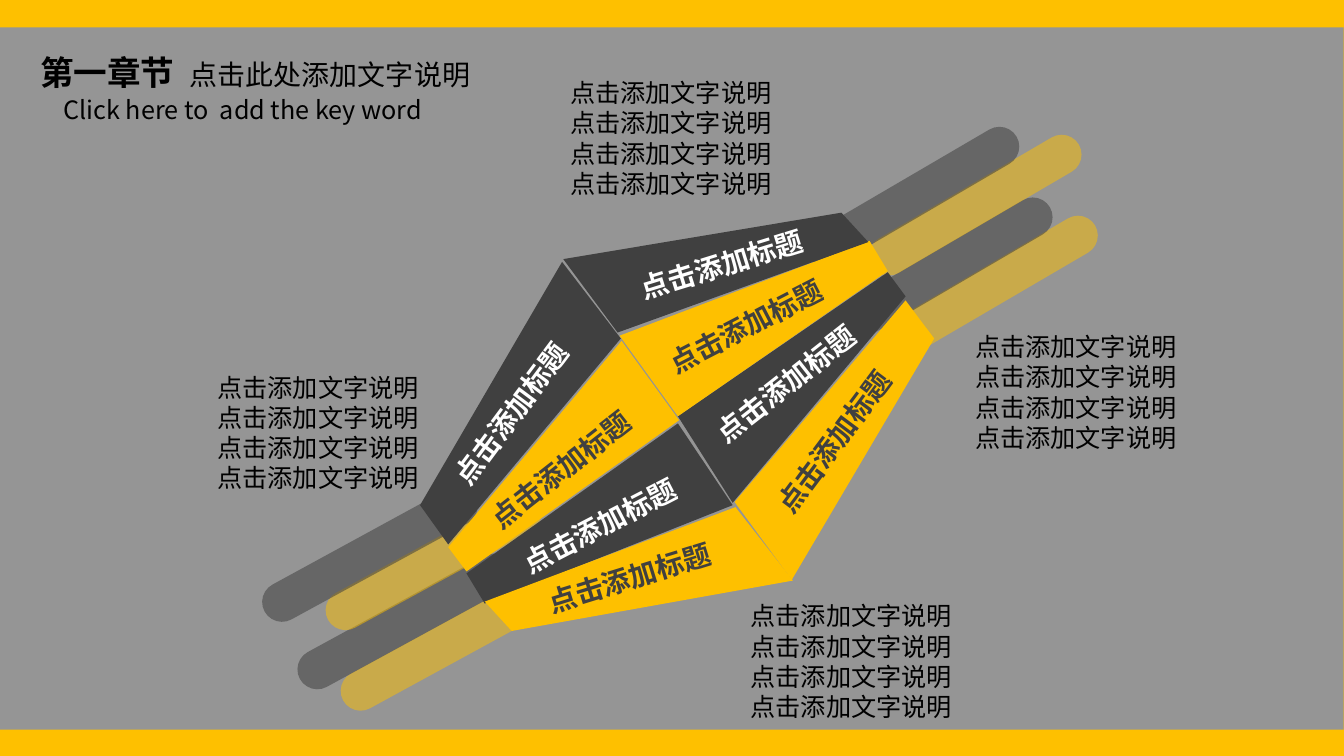
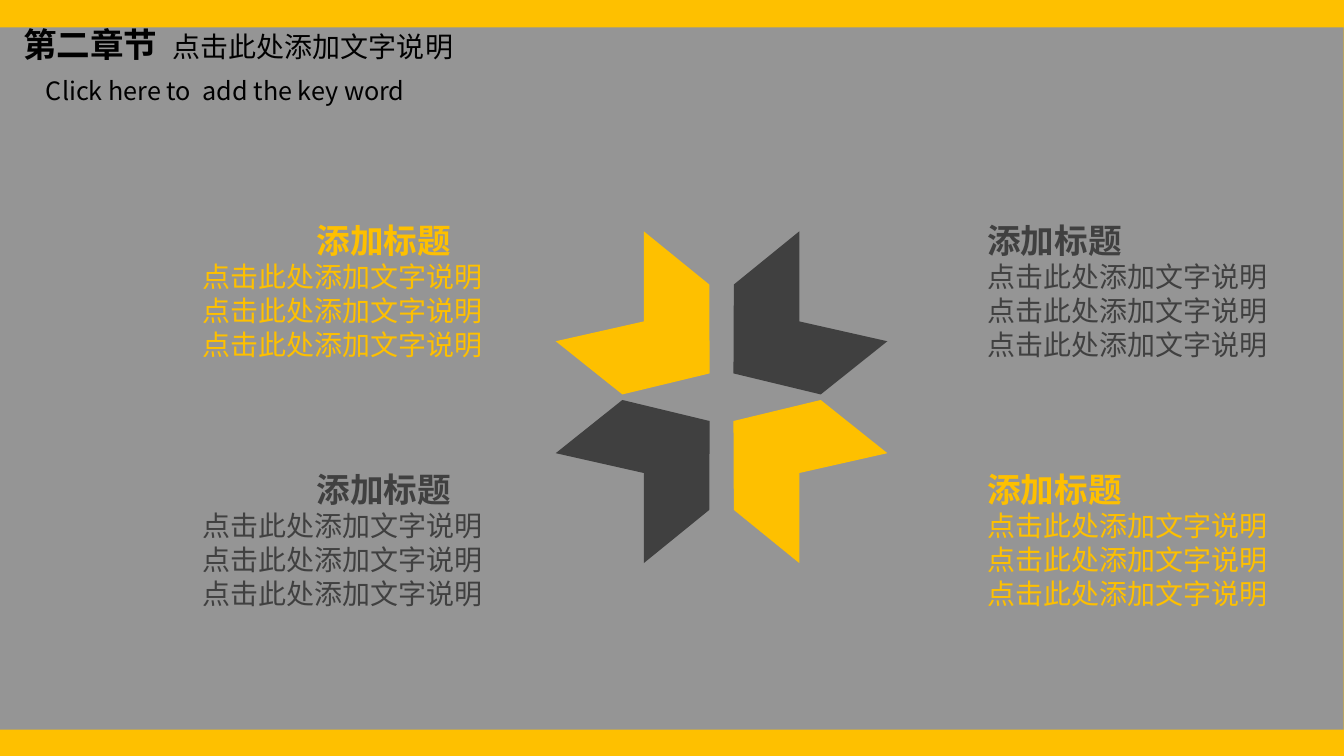
from dataclasses import dataclass

from lxml.etree import SubElement
from pptx import Presentation
from pptx.dml.color import RGBColor
from pptx.enum.shapes import MSO_SHAPE
from pptx.enum.text import MSO_ANCHOR, MSO_AUTO_SIZE, PP_ALIGN
from pptx.oxml.ns import qn
from pptx.util import Cm, Pt


@dataclass(frozen=True)
class Theme:
    font: str = "Noto Sans CJK SC"
    yellow: str = "FEC000"
    dark: str = "404040"
    grey: str = "959595"
    white: str = "FFFFFF"
    black: str = "000000"
    heading: int = 24
    body: int = 20
    small: int = 18


THEME = Theme()
YELLOW, DARK = THEME.yellow, THEME.dark

SLIDE_SIZE = (33.88, 19.05)
PANEL = (0, 0.69, 33.87, 17.7)
HEADING_TAIL = "点击此处添加文字说明"
HEADING_TAB = 3.77
SUBTITLE = "Click here to  add the key word"
HEADING_SIZE = (11.46, 1.27)
SUBTITLE_SIZE = (10.26, 1.02)

BAR_SIZE = (6.05, 1)
BAR_OPACITY = {YELLOW: 50, DARK: 55}
BARS = [
    (151.4, [(8.28, 15.7), (7.19, 15.16), (7.9, 13.67), (6.3, 13.46)]),
    (329.7, [(21.97, 6.71), (20.83, 6.25), (21.56, 4.67), (19.99, 4.47)]),
]

LABEL = "点击添加标题"
LABEL_SIZE = (5.16, 1.12)
LABEL_COLORS = {YELLOW: DARK, DARK: THEME.white}
WEDGES = [
    (YELLOW, [(17.12, 10.59), (11.76, 14.4), (11.3, 13.79), (15.67, 8.59)], (11.73, 11.15), 321.9),
    (DARK, [(17.09, 10.67), (11.76, 14.45), (12.22, 15.21), (18.47, 12.73)], (12.73, 12.6), 332.6),
    (DARK, [(15.65, 8.53), (11.3, 13.72), (10.59, 12.73), (14.17, 6.6)], (10.44, 9.7), 306.7),
    (YELLOW, [(19.99, 14.63), (12.9, 15.9), (12.22, 15.16), (18.54, 12.78)], (13.49, 13.94), 342.8),
    (DARK, [(17.09, 10.49), (22.38, 6.86), (22.83, 7.47), (18.47, 12.67)], (17.4, 8.99), 321.9),
    (YELLOW, [(17.09, 10.49), (22.38, 6.83), (21.92, 6.07), (15.62, 8.46)], (16.41, 7.57), 332.6),
    (YELLOW, [(18.52, 12.65), (22.83, 7.57), (23.55, 8.53), (19.96, 14.61)], (18.57, 10.41), 306.7),
    (DARK, [(14.2, 6.53), (21.21, 5.36), (21.89, 6.1), (15.57, 8.38)], (15.82, 6.05), 342.8),
]

NOTE = "点击添加文字说明"
NOTE_LINES = 4
NOTE_SIZE = (5.74, 3.3)
NOTES = [(14.12, 1.83), (24.33, 8.23), (5.23, 9.25), (18.67, 15.01)]

STAR_CENTER = (18.19, 10.01)
ARROW = [(1.96, 4.18), (0.31, 2.84), (0.3, 0.6), (2.5, 0.07), (4.18, 1.41), (1.96, 1.91)]
CARD_TITLE = "添加标题"
CARD_TEXT = "点击此处添加文字说明"
CARD_LINES = 3
CARD_SIZE = (8.43, 3.81)
CARD_LEFT = {-1: 4.85, 1: 24.64}
CARD_TOP = {-1: 5.41, 1: 11.68}
CARD_TITLE_INDENT = {-1: 2.88, 1: 0}


def paint(shape, color, opacity=100):
    shape.shadow.inherit = False
    shape.fill.solid()
    shape.fill.fore_color.rgb = RGBColor.from_string(color)
    shape.line.fill.background()
    if opacity < 100:
        color_node = shape.fill._xPr.find(qn("a:solidFill"))[0]
        SubElement(color_node, qn("a:alpha"), val=str(opacity * 1000))


def write(box, text, size, color, bold=False, same_line=False, indent=0, tab=0):
    frame = box.text_frame
    para = frame.paragraphs[-1]
    if para.runs and not same_line:
        para = frame.add_paragraph()
    if not same_line:
        para.alignment = PP_ALIGN.LEFT
    properties = para._p.get_or_add_pPr()
    if indent:
        properties.set("marL", str(Cm(indent)))
        properties.set("indent", "0")
    if tab:
        tabs = SubElement(properties, qn("a:tabLst"))
        SubElement(tabs, qn("a:tab"), pos=str(Cm(tab)), algn="l")
    span = para.add_run()
    span.text = text
    span.font.size = Pt(size)
    span.font.bold = bold
    span.font.color.rgb = RGBColor.from_string(color)
    span.font.name = THEME.font
    SubElement(span._r.get_or_add_rPr(), qn("a:ea"), typeface=THEME.font)


def add_box(page, position, size, rotation=0):
    box = page.shapes.add_textbox(*map(Cm, position + size))
    box.rotation = rotation
    box.text_frame.word_wrap = True
    return box


def add_polygon(page, points, color):
    corners = [(Cm(x), Cm(y)) for x, y in points]
    builder = page.shapes.build_freeform(*corners[0])
    builder.add_line_segments(corners[1:], close=True)
    paint(builder.convert_to_shape(), color)


def add_page(deck, chapter, heading_at, subtitle_at):
    page = deck.slides.add_slide(deck.slide_layouts[5])
    title = page.shapes.title
    title.left, title.top, title.width, title.height = map(Cm, heading_at + HEADING_SIZE)
    title.text_frame.word_wrap = True
    title.text_frame.auto_size = MSO_AUTO_SIZE.NONE
    title.text_frame.vertical_anchor = MSO_ANCHOR.TOP
    write(title, chapter + "\t", THEME.heading, THEME.black, bold=True, tab=HEADING_TAB)
    write(title, HEADING_TAIL, THEME.body, THEME.black, same_line=True)
    write(add_box(page, subtitle_at, SUBTITLE_SIZE), SUBTITLE, THEME.small, THEME.black)
    return page


def style_master(deck, page):
    master = deck.slide_master
    master.background.fill.solid()
    master.background.fill.fore_color.rgb = RGBColor.from_string(YELLOW)
    panel = page.shapes.add_shape(MSO_SHAPE.RECTANGLE, *map(Cm, PANEL))
    paint(panel, THEME.grey)
    master.shapes._spTree.insert(2, panel._element)


def fill_ribbons(page):
    for rotation, positions in BARS:
        for index, position in enumerate(positions):
            color = (YELLOW, DARK)[index % 2]
            bar = page.shapes.add_shape(MSO_SHAPE.ROUNDED_RECTANGLE, *map(Cm, position + BAR_SIZE))
            bar.adjustments[0] = 0.5
            bar.rotation = rotation
            paint(bar, color, BAR_OPACITY[color])
    for color, points, label_at, rotation in WEDGES:
        add_polygon(page, points, color)
        label = add_box(page, label_at, LABEL_SIZE, rotation)
        write(label, LABEL, THEME.body, LABEL_COLORS[color], bold=True)
    for position in NOTES:
        note = add_box(page, position, NOTE_SIZE)
        for _ in range(NOTE_LINES):
            write(note, NOTE, THEME.small, THEME.black)


def fill_star(page):
    center_x, center_y = STAR_CENTER
    for side in (-1, 1):
        for level in (-1, 1):
            color = YELLOW if side == level else DARK
            points = [(center_x + side * x, center_y + level * y) for x, y in ARROW]
            add_polygon(page, points, color)
            card = add_box(page, (CARD_LEFT[side], CARD_TOP[level]), CARD_SIZE)
            write(card, CARD_TITLE, THEME.heading, color, bold=True, indent=CARD_TITLE_INDENT[side])
            for _ in range(CARD_LINES):
                write(card, CARD_TEXT, THEME.body, color)


def main():
    deck = Presentation()
    deck.slide_width, deck.slide_height = map(Cm, SLIDE_SIZE)
    ribbons = add_page(deck, "第一章节", (0.76, 1.17), (1.35, 2.26))
    style_master(deck, ribbons)
    fill_ribbons(ribbons)
    fill_star(add_page(deck, "第二章节", (0.33, 0.48), (0.91, 1.78)))
    deck.save("out.pptx")


if __name__ == "__main__":
    main()
